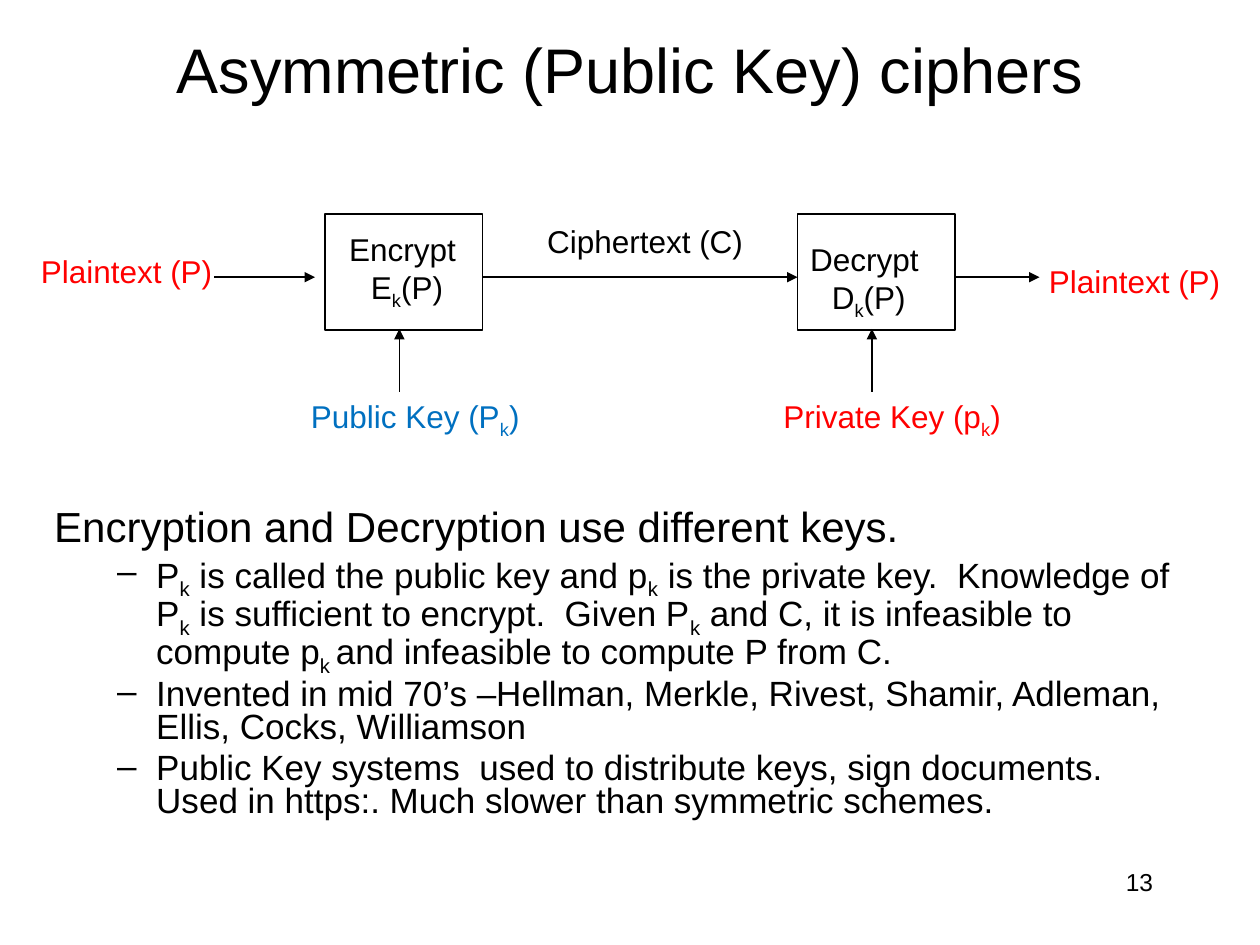
from dataclasses import dataclass
from lxml.etree import SubElement
from pptx import Presentation
from pptx.dml.color import RGBColor
from pptx.enum.shapes import MSO_CONNECTOR, MSO_SHAPE
from pptx.enum.text import MSO_ANCHOR, MSO_AUTO_SIZE, PP_ALIGN
from pptx.oxml.ns import qn
from pptx.util import Inches, Pt


@dataclass(frozen=True)
class Theme:
    face: str = "Arial"
    ink: RGBColor = RGBColor(0, 0, 0)
    red: RGBColor = RGBColor(0xFF, 0, 0)
    blue: RGBColor = RGBColor(0, 0x70, 0xC0)
    title: int = 36
    lead: int = 24
    item: int = 20
    label: int = 18
    page: int = 14
    line: int = 1


THEME = Theme()
POINTS = [
    "P|k| is called the public key and p|k| is the private key.  Knowledge of "
    "P|k| is sufficient to encrypt.  Given P|k| and C, it is infeasible to "
    "compute p|k |and infeasible to compute P from C.",
    "Invented in mid 70’s –Hellman, Merkle, Rivest, Shamir, Adleman, "
    "Ellis, Cocks, Williamson",
    "Public Key systems  used to distribute keys, sign documents. "
    "Used in https:. Much slower than symmetric schemes.",
]


def apply(item, form):
    for name, value in form.items():
        setattr(item, name, value)


def place(shape, spot):
    names = ("left", "top", "width", "height")
    apply(shape, dict(zip(names, map(Inches, spot))))


def write(para, text, size, color=THEME.ink):
    for num, part in enumerate(text.split("|")):
        run = para.add_run()
        run.text = part
        apply(run.font, {"name": THEME.face, "size": Pt(size)})
        run.font.color.rgb = color
        if num % 2:
            run.font._element.set("baseline", "-25000")


def add_label(slide, spot, lines, color=THEME.ink, wrap=True,
              size=THEME.label, align=PP_ALIGN.CENTER):
    frame = slide.shapes.add_textbox(*map(Inches, spot)).text_frame
    apply(frame, {"word_wrap": wrap, "auto_size": MSO_AUTO_SIZE.SHAPE_TO_FIT_TEXT})
    for num, line in enumerate(lines):
        para = frame.add_paragraph() if num else frame.paragraphs[0]
        para.alignment = align
        write(para, line, size, color)


def add_box(slide, left):
    spot = map(Inches, (left, 1.7, 1.25, 0.92))
    box = slide.shapes.add_shape(MSO_SHAPE.RECTANGLE, *spot)
    box.shadow.inherit = False
    box.fill.background()
    box.line.color.rgb = THEME.ink
    box.line.width = Pt(THEME.line)


def add_arrow(slide, *ends):
    arrow = slide.shapes.add_connector(MSO_CONNECTOR.STRAIGHT, *map(Inches, ends))
    arrow.line.color.rgb = THEME.ink
    arrow.line.width = Pt(THEME.line)
    SubElement(arrow.line._get_or_add_ln(), qn("a:tailEnd"), type="triangle")
    SubElement(arrow._element.spPr, qn("a:effectLst"))


def set_title(slide, text):
    title = slide.shapes.title
    place(title, (0.75, 0, 8.5, 1.08))
    frame = title.text_frame
    apply(frame, {"vertical_anchor": MSO_ANCHOR.MIDDLE, "word_wrap": True,
                  "auto_size": MSO_AUTO_SIZE.NONE})
    frame.paragraphs[0].alignment = PP_ALIGN.CENTER
    write(frame.paragraphs[0], text, THEME.title)


def style_item(para, level, gap, left, hang, mark):
    apply(para, {"level": level, "line_spacing": 0.8, "space_before": Pt(gap),
                 "alignment": PP_ALIGN.LEFT})
    props = para._p.get_or_add_pPr()
    props.set("marL", str(Inches(left)))
    props.set("indent", str(Inches(-hang)))
    if mark:
        SubElement(props, qn("a:buFont"), typeface=THEME.face)
        SubElement(props, qn("a:buChar"), char=mark)
    else:
        SubElement(props, qn("a:buNone"))


def set_body(slide, lead, points):
    body = slide.placeholders[1]
    place(body, (0.33, 4, 9.25, 2.83))
    frame = body.text_frame
    apply(frame, {"word_wrap": True, "auto_size": MSO_AUTO_SIZE.NONE})
    style_item(frame.paragraphs[0], 0, 0, 0.38, 0.38, None)
    write(frame.paragraphs[0], lead, THEME.lead)
    for point in points:
        para = frame.add_paragraph()
        style_item(para, 1, THEME.item * 0.2, 0.81, 0.31, "–")
        write(para, point, THEME.item)


def draw_flow(slide):
    for left in (2.58, 6.33):
        add_box(slide, left)
    for start, end in ((1.7, 2.5), (3.83, 6.33), (7.58, 8.25)):
        add_arrow(slide, start, 2.2, end, 2.2)
    for mid in (3.17, 6.92):
        add_arrow(slide, mid, 3.11, mid, 2.61)
    add_label(slide, (2.67, 1.78, 1.12, 0.7), ["Encrypt ", "E|k|(P)"], wrap=False)
    add_label(slide, (6.33, 1.86, 1.13, 0.7), ["Decrypt ", "D|k|(P)"], wrap=False)
    add_label(slide, (4.08, 1.71, 2.08, 0.4), ["Ciphertext (C)"])
    for left, top in ((0.17, 1.95), (8.17, 2.03)):
        add_label(slide, (left, top, 1.67, 0.4), ["Plaintext (P)"], THEME.red)
    add_label(slide, (2.33, 3.1, 1.93, 0.4), ["Public Key (P|k|)"], THEME.blue, False)
    add_label(slide, (6.08, 3.1, 2, 0.4), ["Private Key (p|k|)"], THEME.red, False)


def main():
    deck = Presentation()
    apply(deck, {"slide_width": Inches(10), "slide_height": Inches(7.5)})
    slide = deck.slides.add_slide(deck.slide_layouts[1])
    set_title(slide, "Asymmetric (Public Key) ciphers")
    set_body(slide, "Encryption and Decryption use different keys.", POINTS)
    draw_flow(slide)
    add_label(slide, (7.17, 6.83, 2.08, 0.5), ["13"], size=THEME.page,
              align=PP_ALIGN.RIGHT)
    deck.save("out.pptx")


if __name__ == "__main__":
    main()
